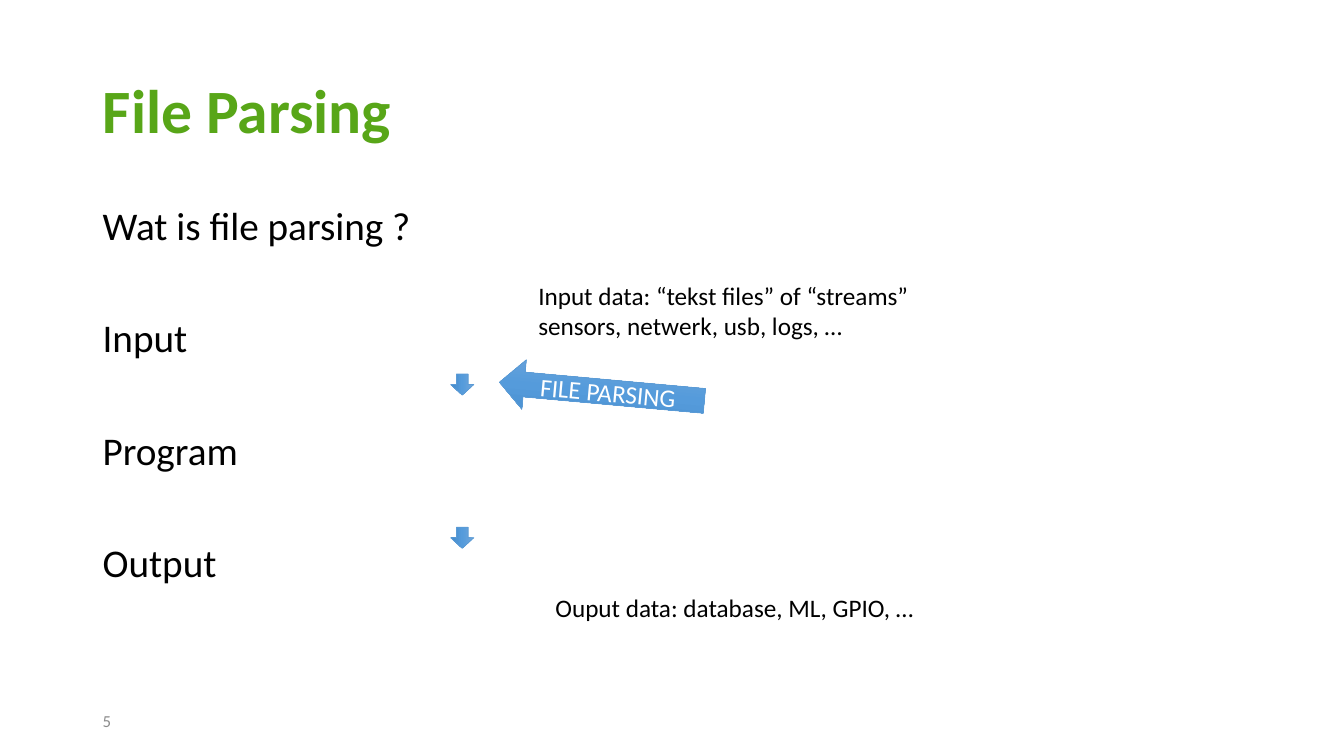
from copy import deepcopy
from dataclasses import dataclass

from pptx import Presentation
from pptx.dml.color import RGBColor
from pptx.enum.shapes import MSO_SHAPE
from pptx.enum.text import MSO_ANCHOR, PP_ALIGN
from pptx.util import Inches, Pt


@dataclass(frozen=True)
class Theme:
    font: str = "Calibri"
    green: str = "58A618"
    black: str = "000000"
    white: str = "FFFFFF"
    grey: str = "8C8C8C"
    edge: str = "5B9BD5"
    blues: tuple = ("71A6DB", "559BDB", "448ACA")
    head: int = 44
    body: int = 28
    note: int = 18
    foot: int = 12


THEME = Theme()


def place(shape, box):
    shape.left, shape.top, shape.width, shape.height = map(Inches, box)


def write(para, text, size, color, bold=False):
    run = para.add_run()
    run.text = text
    font = run.font
    font.name, font.size, font.bold = THEME.font, Pt(size), bold
    font.color.rgb = RGBColor.from_string(color)


def add_title(slide, box, text):
    title = slide.shapes.title
    place(title, box)
    frame = title.text_frame
    frame.vertical_anchor = MSO_ANCHOR.MIDDLE
    para = frame.paragraphs[0]
    para.alignment = PP_ALIGN.LEFT
    para.line_spacing = 0.9
    write(para, text, THEME.head, THEME.green, True)


def add_text(slide, box, lines, size, color, wrap=True, gap=0, pitch=1):
    """Add a text box with one paragraph per line, set apart by gap points."""
    shape = slide.shapes.add_textbox(*map(Inches, box))
    frame = shape.text_frame
    frame.word_wrap = wrap
    for i, line in enumerate(lines):
        para = frame.add_paragraph() if i else frame.paragraphs[0]
        para.line_spacing = pitch
        if i:
            para.space_before = Pt(gap)
        write(para, line, size, color)
    return shape


def shade(fill, angle):
    """Fill with the three blues, evenly spread along the angle."""
    fill.gradient()
    fill.gradient_angle = angle
    first = fill.gradient_stops[0]._gs
    first.addnext(deepcopy(first))
    for i, (stop, color) in enumerate(zip(fill.gradient_stops, THEME.blues)):
        stop.position = i / 2
        stop.color.rgb = RGBColor.from_string(color)


def add_arrow(slide, kind, box, angle, turn=0, text=""):
    arrow = slide.shapes.add_shape(kind, *map(Inches, box))
    arrow.shadow.inherit = False
    arrow.rotation = turn
    shade(arrow.fill, angle)
    arrow.line.color.rgb = RGBColor.from_string(THEME.edge)
    arrow.line.width = Pt(0.5)
    if text:
        frame = arrow.text_frame
        frame.vertical_anchor = MSO_ANCHOR.MIDDLE
        para = frame.paragraphs[0]
        para.alignment = PP_ALIGN.CENTER
        write(para, text, THEME.note, THEME.white)


def add_flow(slide, box):
    """List the steps, with arrows and notes beside them."""
    left, top, _, _ = box
    steps = ["Wat is file parsing ?", "Input", "Program", "Output"]
    add_text(slide, box, steps, THEME.body, THEME.black, gap=50, pitch=0.9)
    for drop in (1.71, 3.23):
        add_arrow(slide, MSO_SHAPE.DOWN_ARROW,
                  (left + 3.55, top + drop, 0.23, 0.21), 180)
    notes = [
        (4.32, 0.73, 0.71, ["Input data: “tekst files” of “streams”",
                            "sensors, netwerk, usb, logs, …"]),
        (4.49, 3.83, 0.4, ["Ouput data: database, ML, GPIO, …"]),
    ]
    for x, y, tall, lines in notes:
        add_text(slide, (left + x, top + y, 3.92, tall), lines,
                 THEME.note, THEME.black, wrap=False)
    add_arrow(slide, MSO_SHAPE.LEFT_ARROW, (left + 4.03, top + 1.64, 2.04, 0.49),
              270, 5.2, "FILE PARSING")


def add_number(slide, box, text):
    shape = add_text(slide, box, [text], THEME.foot, THEME.grey)
    shape.text_frame.vertical_anchor = MSO_ANCHOR.MIDDLE


def main():
    deck = Presentation()
    deck.slide_width, deck.slide_height = Inches(13.33), Inches(7.5)
    slide = deck.slides.add_slide(deck.slide_layouts[5])
    add_title(slide, (0.92, 0.4, 11.5, 1.45), "File Parsing")
    add_flow(slide, (0.92, 2, 11.5, 4.76))
    add_number(slide, (0.92, 6.95, 1.54, 0.4), "5")
    deck.save("out.pptx")


if __name__ == "__main__":
    main()
